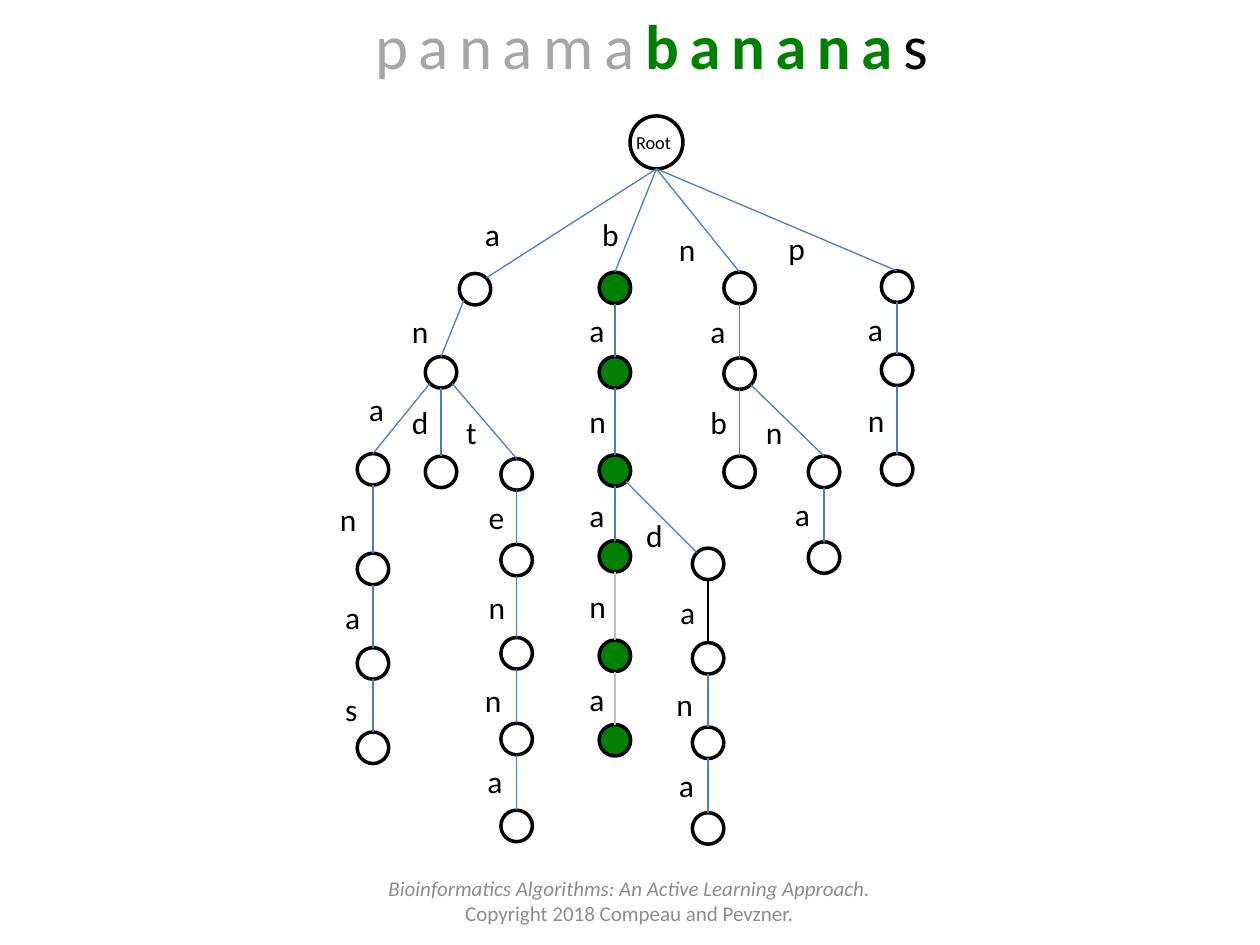
from dataclasses import dataclass
from math import sqrt

from lxml.etree import SubElement
from pptx import Presentation
from pptx.dml.color import RGBColor
from pptx.enum.shapes import MSO_CONNECTOR, MSO_SHAPE
from pptx.enum.text import MSO_ANCHOR, MSO_AUTO_SIZE, PP_ALIGN
from pptx.oxml.ns import qn
from pptx.util import Inches, Pt

# The slide is a grid of 100 columns by 75 rows; every length counts cells.
COLUMNS, ROWS = 100, 75
CELL = Inches(10) // COLUMNS
FONT = "Calibri"
COLORS = {
    "black": "000000",
    "white": "FFFFFF",
    "match": "008000",
    "past": "A6A6A6",
    "edge": "4B7EBC",
    "pale edge": "BFBFBF",
    "footer": "8C8C8C",
}
LETTER_WIDTHS = {"a": 3.2, "e": 3.3, "s": 3.0, "t": 2.9}
DEFAULT_LETTER_WIDTH = 3.4
DIAMETER, ROOT_DIAMETER = 2.5, 4.2
LEFT, MIDDLE, RIGHT = -1, 0, 1


@dataclass(frozen=True)
class Node:
    """A trie node, named by the prefix it spells; its parent is one letter shorter."""
    prefix: str
    center: float
    top: float
    label: tuple[float, float]
    leave: int = MIDDLE    # where the edge leaves the parent
    enter: int = MIDDLE    # where the edge enters this node
    fill: str = "white"
    edge: str = "edge"
    diameter: float = DIAMETER

    def rim(self, side: int, direction: int) -> tuple[float, float]:
        """Point on the circle: direction -1 is the upper half, 1 the lower."""
        radius = self.diameter / 2
        reach = radius if side == MIDDLE else radius / sqrt(2)
        return (self.center + side * reach,
                self.top + radius + direction * reach)


@dataclass(frozen=True)
class TextPart:
    text: str
    size: float
    color: str = "black"
    bold: bool = False
    italic: bool = False
    spacing: int = 0


ROOT = Node("", 52.1, 9.2, (49.5, 9.9), diameter=ROOT_DIAMETER)
NODES = [
    Node("a", 37.7, 21.7, (37.5, 16.6), enter=RIGHT),
    Node("an", 35, 28.3, (31.7, 24.3), leave=LEFT),
    Node("ana", 29.6, 36, (28.3, 30.5), leave=LEFT),
    Node("anan", 29.6, 43.9, (26, 39.2)),
    Node("anana", 29.6, 51.4, (26.4, 47)),
    Node("ananas", 29.6, 58.1, (26.4, 54.3)),
    Node("and", 35, 36.2, (31.7, 31.5)),
    Node("ant", 41, 36.4, (36, 32.3), leave=RIGHT),
    Node("ante", 41, 43.2, (37.8, 39)),
    Node("anten", 41, 50.6, (37.8, 46.2)),
    Node("antenn", 41, 57.4, (37.5, 53.6)),
    Node("antenna", 41, 64.3, (37.7, 60)),
    Node("b", 48.8, 21.6, (46.8, 16.6), fill="match"),
    Node("ba", 48.8, 28.3, (45.8, 24.2), fill="match"),
    Node("ban", 48.8, 36.1, (45.8, 31.4), fill="match"),
    Node("bana", 48.8, 42.9, (45.8, 38.9), fill="match"),
    Node("banan", 48.8, 50.8, (45.8, 46.1), fill="match", edge="pale edge"),
    Node("banana", 48.8, 57.5, (45.8, 53.5), fill="match", edge="pale edge"),
    Node("band", 56.2, 43.5, (50.3, 40.5), leave=RIGHT, enter=LEFT),
    Node("banda", 56.2, 51, (53, 46.6), edge="black"),
    Node("bandan", 56.2, 57.7, (52.7, 53.9)),
    Node("bandana", 56.2, 64.5, (52.9, 60.3)),
    Node("n", 58.7, 21.6, (52.9, 17.8)),
    Node("na", 58.7, 28.4, (55.4, 24.3)),
    Node("nab", 58.7, 36.2, (55.4, 31.5)),
    Node("nan", 65.4, 36.2, (59.8, 32.3), leave=RIGHT),
    Node("nana", 65.4, 43, (62.1, 38.8)),
    Node("p", 71.2, 21.5, (61.6, 17.7)),
    Node("pa", 71.2, 28.1, (67.9, 24.1)),
    Node("pan", 71.2, 36, (67.9, 31.3)),
]


def cells(*counts: float) -> list[int]:
    return [round(count * CELL) for count in counts]


def rgb(name: str) -> RGBColor:
    return RGBColor.from_string(COLORS[name])


def add_text(slide, box: tuple, lines: list[list[TextPart]],
             align=PP_ALIGN.LEFT, anchor=MSO_ANCHOR.TOP,
             wrap: bool = True, grow: bool = True) -> None:
    frame = slide.shapes.add_textbox(*cells(*box)).text_frame
    frame.word_wrap = wrap
    frame.auto_size = (MSO_AUTO_SIZE.SHAPE_TO_FIT_TEXT if grow
                       else MSO_AUTO_SIZE.NONE)
    frame.vertical_anchor = anchor
    for index, parts in enumerate(lines):
        paragraph = frame.add_paragraph() if index else frame.paragraphs[0]
        paragraph.alignment = align
        for part in parts:
            run = paragraph.add_run()
            run.text = part.text
            font = run.font
            font.name, font.size = FONT, Pt(part.size)
            font.bold, font.italic = part.bold, part.italic
            font.color.rgb = rgb(part.color)
            if part.spacing:
                run._r.get_or_add_rPr().set("spc", str(part.spacing * 100))


def add_node(slide, node: Node) -> None:
    circle = slide.shapes.add_shape(MSO_SHAPE.OVAL, *cells(
        node.center - node.diameter / 2, node.top, node.diameter, node.diameter))
    circle.shadow.inherit = False
    circle.fill.solid()
    circle.fill.fore_color.rgb = rgb(node.fill)
    circle.line.color.rgb = rgb("black")
    circle.line.width = Pt(2)


def add_edge(slide, parent: Node, child: Node) -> None:
    edge = slide.shapes.add_connector(MSO_CONNECTOR.STRAIGHT, *cells(
        *parent.rim(child.leave, 1), *child.rim(child.enter, -1)))
    edge.line.color.rgb = rgb(child.edge)
    edge.line.width = Pt(0.75)
    SubElement(edge._element.spPr, qn("a:effectLst"))


def add_letter(slide, node: Node) -> None:
    letter = node.prefix[-1]
    width = LETTER_WIDTHS.get(letter, DEFAULT_LETTER_WIDTH)
    add_text(slide, (*node.label, width, 4), [[TextPart(letter, 18)]], wrap=False)


def add_trie(slide) -> None:
    by_prefix = {node.prefix: node for node in [ROOT, *NODES]}
    add_node(slide, ROOT)
    add_text(slide, (*ROOT.label, 5.5, 2.8), [[TextPart("Root", 10.5)]])
    for node in NODES:
        add_node(slide, node)
        add_edge(slide, by_prefix[node.prefix[:-1]], node)
        add_letter(slide, node)


def main() -> None:
    presentation = Presentation()
    presentation.slide_width, presentation.slide_height = cells(COLUMNS, ROWS)
    slide = presentation.slides.add_slide(presentation.slide_layouts[6])
    add_trie(slide)
    add_text(slide, (26.7, 0, 50, 7.1), [[
        TextPart("panama", 36, "past", spacing=6),
        TextPart("banana", 36, "match", bold=True, spacing=6),
        TextPart("s", 36, spacing=6),
    ]], align=PP_ALIGN.CENTER)
    add_text(slide, (28.3, 69.5, 43.3, 4), [
        [TextPart("Bioinformatics Algorithms: An Active Learning Approach.",
                  12, "footer", italic=True)],
        [TextPart("Copyright 2018 Compeau and Pevzner.", 12, "footer")],
    ], align=PP_ALIGN.CENTER, anchor=MSO_ANCHOR.MIDDLE, grow=False)
    presentation.save("out.pptx")


if __name__ == "__main__":
    main()
